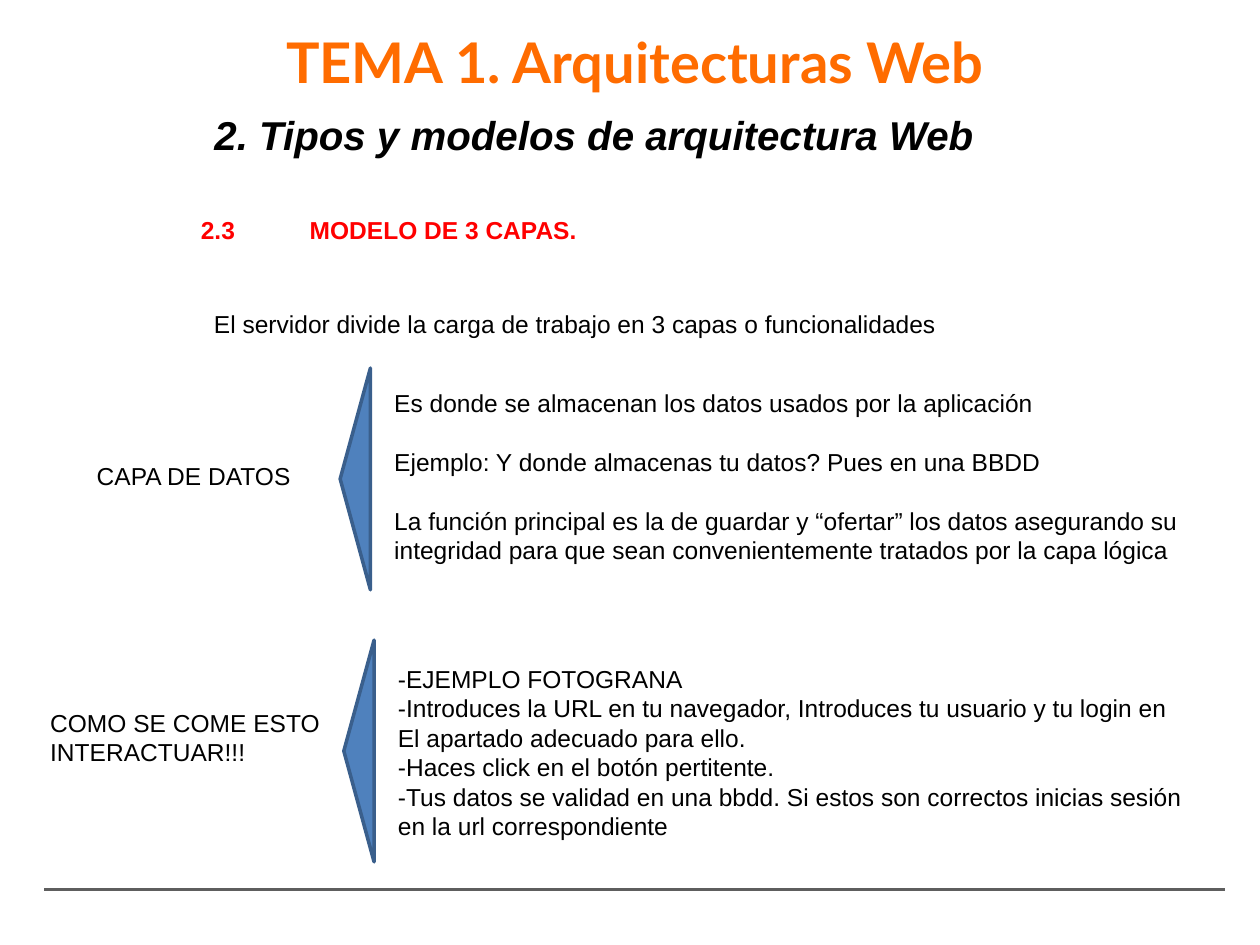
"""Build a slide on the three-layer model of web architecture."""
from dataclasses import dataclass

from lxml import etree
from pptx import Presentation
from pptx.dml.color import RGBColor
from pptx.enum.shapes import MSO_CONNECTOR, MSO_SHAPE
from pptx.enum.text import MSO_ANCHOR, MSO_AUTO_SIZE, PP_ALIGN
from pptx.oxml.ns import qn
from pptx.util import Pt

LEFT, CENTER = PP_ALIGN.LEFT, PP_ALIGN.CENTER
TOP = MSO_ANCHOR.TOP
FIXED = MSO_AUTO_SIZE.NONE
STRAIGHT = MSO_CONNECTOR.STRAIGHT
TRIANGLE = MSO_SHAPE.ISOSCELES_TRIANGLE

BLACK = RGBColor(0x00, 0x00, 0x00)
RED = RGBColor(0xFF, 0x00, 0x00)
ORANGE = RGBColor(0xFF, 0x6C, 0x00)
BLUE = RGBColor(0x4F, 0x81, 0xBD)
NAVY = RGBColor(0x3A, 0x5F, 0x8C)
GRAY = RGBColor(0x5E, 0x5E, 0x5E)

LEAD = 1.2


@dataclass(frozen=True)
class Box:
    left: float
    top: float
    width: float
    height: float

    def place(self) -> tuple:
        return Pt(self.left), Pt(self.top), Pt(self.width), Pt(self.height)


@dataclass(frozen=True)
class Layer:
    label: str
    tag: Box
    mark: Box
    body: str
    note: Box
    gap: float = 0


LAYERS = (
    Layer(
        "CAPA DE DATOS",
        Box(48.2, 260, 131, 24.5),
        Box(139.7, 265, 126.7, 17.3),
        "Es donde se almacenan los datos usados por la aplicación\n"
        "Ejemplo: Y donde almacenas tu datos? Pues en una BBDD\n"
        "La función principal es la de guardar y “ofertar” los datos asegurando su "
        "integridad para que sean convenientemente tratados por la capa lógica",
        Box(218.2, 218.2, 489.6, 108.7),
        gap=16.8,
    ),
    Layer(
        "COMO SE COME ESTO\nINTERACTUAR!!!",
        Box(21.6, 401, 170, 41),
        Box(141.8, 420.5, 126.7, 17.3),
        "-EJEMPLO FOTOGRANA\n"
        "-Introduces la URL en tu navegador, Introduces tu usuario y tu login en\n"
        "El apartado adecuado para ello.\n"
        "-Haces click en el botón pertitente.\n"
        "-Tus datos se validad en una bbdd. Si estos son correctos inicias sesión\n"
        "en la url correspondiente",
        Box(220.3, 375.8, 489.6, 108.7),
    ),
)


def write(slide, text: str, box: Box, *, shape=None, size=14, face="Arial",
          color=BLACK, bold=False, slant=False, align=LEFT, gap=0, tab=0):
    """Write the lines of a text into a box."""
    shape = shape or slide.shapes.add_textbox(*box.place())
    shape.left, shape.top, shape.width, shape.height = box.place()
    frame = shape.text_frame
    frame.auto_size = FIXED
    frame.word_wrap = True
    frame.vertical_anchor = TOP
    frame.margin_left = frame.margin_right = Pt(7.2)
    frame.margin_top = frame.margin_bottom = Pt(3.6)
    for rank, line in enumerate(text.split("\n")):
        para = frame.add_paragraph() if rank else frame.paragraphs[0]
        if tab:
            stops = etree.SubElement(para._p.get_or_add_pPr(), qn("a:tabLst"))
            etree.SubElement(stops, qn("a:tab"), pos=str(Pt(tab)), algn="l")
        para.alignment = align
        para.line_spacing = Pt(LEAD * size)
        if rank and gap:
            para.space_before = Pt(gap)
        run = para.add_run()
        run.text = line
        font = run.font
        font.name, font.size = face, Pt(size)
        font.bold, font.italic = bold, slant
        font.color.rgb = color


def point(slide, box: Box) -> None:
    """Draw a triangle that points left."""
    mark = slide.shapes.add_shape(TRIANGLE, *box.place())
    mark.rotation = 270
    mark.shadow.inherit = False
    mark.fill.solid()
    mark.fill.fore_color.rgb = BLUE
    mark.line.color.rgb = NAVY
    mark.line.width = Pt(2)


def rule(slide, left: float, right: float, top: float) -> None:
    """Draw the foot rule."""
    line = slide.shapes.add_connector(STRAIGHT, Pt(left), Pt(top), Pt(right), Pt(top))
    line.line.color.rgb = GRAY
    line.line.width = Pt(2)
    etree.SubElement(line._element.spPr, qn("a:effectLst"))


def main() -> None:
    """Build and save the slide."""
    deck = Presentation()
    deck.slide_width, deck.slide_height = Pt(720), Pt(540)
    slide = deck.slides.add_slide(deck.slide_layouts[5])
    rule(slide, 25.2, 699.8, 508.3)
    write(slide, "TEMA 1. Arquitecturas Web", Box(86.4, 12.2, 553, 45.6),
          shape=slide.shapes.title, size=32, face="Lato", color=ORANGE,
          bold=True, align=CENTER)
    write(slide, "2. Tipos y modelos de arquitectura Web", Box(7.9, 59.4, 663.8, 35),
          size=23, bold=True, slant=True, align=CENTER)
    write(slide, "2.3\tMODELO DE 3 CAPAS.", Box(107.7, 119.5, 240, 24.5),
          color=RED, bold=True, tab=62.2)
    write(slide, "El servidor divide la carga de trabajo en 3 capas o funcionalidades",
          Box(115.2, 172.8, 440, 24.5))
    for layer in LAYERS:
        write(slide, layer.label, layer.tag)
        point(slide, layer.mark)
        write(slide, layer.body, layer.note, gap=layer.gap)
    deck.save("out.pptx")


if __name__ == "__main__":
    main()
